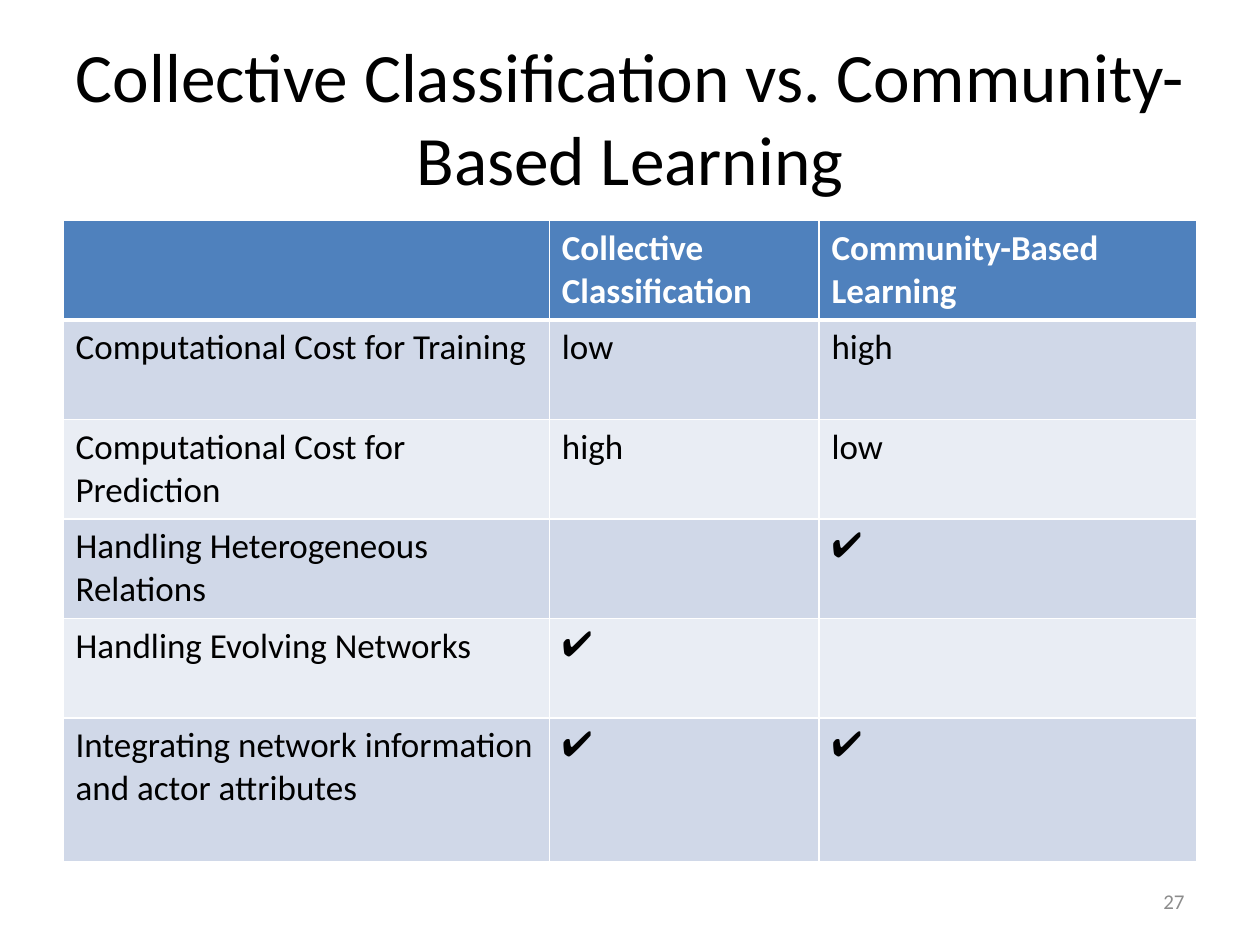
from lxml import etree
from pptx import Presentation
from pptx.dml.color import RGBColor
from pptx.enum.text import MSO_ANCHOR, MSO_AUTO_SIZE, PP_ALIGN
from pptx.oxml.ns import qn
from pptx.util import Inches, Pt

CENTER, RIGHT, LEFT = PP_ALIGN.CENTER, PP_ALIGN.RIGHT, PP_ALIGN.LEFT
MIDDLE = MSO_ANCHOR.MIDDLE
NO_AUTOFIT = MSO_AUTO_SIZE.NONE

BLACK = RGBColor(0x00, 0x00, 0x00)
WHITE = RGBColor(0xFF, 0xFF, 0xFF)
GRAY = RGBColor(0x8C, 0x8C, 0x8C)
HEADER_BLUE = RGBColor(0x4F, 0x81, 0xBD)
BAND_DARK = RGBColor(0xD0, 0xD8, 0xE8)
BAND_LIGHT = RGBColor(0xE9, 0xED, 0xF4)

CHECK = "✔"
COLUMN_WIDTHS = [3.86, 2.14, 3]
ROW_HEIGHTS = [0.79] * 5 + [1.14]
COMPARISON = [
    ["", "Collective Classification", "Community-Based Learning"],
    ["Computational Cost for Training", "low", "high"],
    ["Computational Cost for Prediction", "high", "low"],
    ["Handling Heterogeneous Relations", "", CHECK],
    ["Handling Evolving Networks", CHECK, ""],
    ["Integrating network information and actor attributes", CHECK, CHECK],
]


class SlideBuilder:
    font = "Calibri"
    check_font = "Arial"
    thin, thick = 1, 3

    def __init__(self, slide):
        self.s = slide

    def add_text(self, tf, text, color, align=LEFT, **formats):
        p = tf.paragraphs[0]
        p.alignment = align
        r = p.add_run()
        r.text = text
        for name, value in {"name": self.font, **formats}.items():
            setattr(r.font, name, value)
        r.font.color.rgb = color

    def place(self, sp, left, top, width, height):
        sp.left, sp.top = Inches(left), Inches(top)
        sp.width, sp.height = Inches(width), Inches(height)

    def title(self, text, *box):
        sp = self.s.shapes.title
        self.place(sp, *box)
        tf = sp.text_frame
        tf.word_wrap, tf.auto_size, tf.vertical_anchor = True, NO_AUTOFIT, MIDDLE
        self.add_text(tf, text, BLACK, CENTER, size=Pt(39.6))

    def page_number(self, text, *box):
        sp = self.s.shapes.add_textbox(*map(Inches, box))
        tf = sp.text_frame
        tf.word_wrap, tf.vertical_anchor = True, MIDDLE
        self.add_text(tf, text, GRAY, RIGHT, size=Pt(12))

    def borders(self, cell, **widths):
        tcPr = cell._tc.get_or_add_tcPr()
        for side in "LRTB":
            width = Pt(widths.get(side, self.thin))
            ln = etree.SubElement(tcPr, qn(f"a:ln{side}"), w=str(width))
            fill = etree.SubElement(ln, qn("a:solidFill"))
            etree.SubElement(fill, qn("a:srgbClr"), val=str(WHITE))

    def table(self, rows, left, top, widths, heights):
        box = map(Inches, (left, top, sum(widths), sum(heights)))
        table = self.s.shapes.add_table(len(rows), len(widths), *box).table
        for column, width in zip(table.columns, widths):
            column.width = Inches(width)
        for i, (row, height) in enumerate(zip(rows, heights)):
            table.rows[i].height = Inches(height)
            header = i == 0
            band = HEADER_BLUE if header else BAND_DARK if i % 2 else BAND_LIGHT
            # The line under the header is heavier
            heavy = {0: {"B": self.thick}, 1: {"T": self.thick}}.get(i, {})
            for j, text in enumerate(row):
                cell = table.cell(i, j)
                self.borders(cell, **heavy)
                cell.fill.solid()
                cell.fill.fore_color.rgb = band
                if text:
                    self.add_text(cell.text_frame, text, WHITE if header else BLACK,
                                  name=self.check_font if text == CHECK else self.font,
                                  size=Pt(20), bold=header)


def main():
    prs = Presentation()
    prs.slide_width, prs.slide_height = Inches(10), Inches(7.5)
    # Title-only layout
    builder = SlideBuilder(prs.slides.add_slide(prs.slide_layouts[5]))

    # Title
    builder.title("Collective Classification vs. Community-Based Learning",
                  0.5, 0.3, 9, 1.25)
    # Comparison table
    builder.table(COMPARISON, 0.5, 1.75, COLUMN_WIDTHS, ROW_HEIGHTS)
    # Page number
    builder.page_number("27", 7.17, 6.95, 2.33, 0.4)

    prs.save("out.pptx")


if __name__ == "__main__":
    main()
